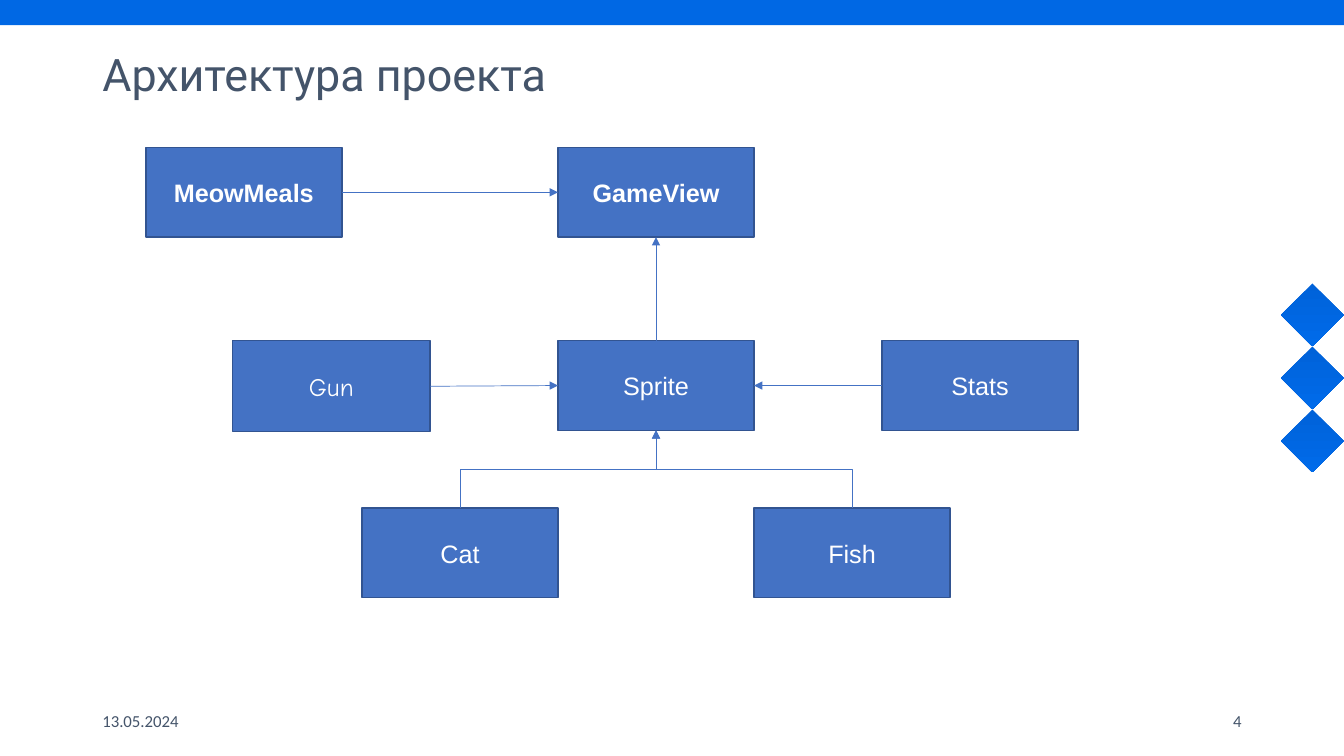
from pptx import Presentation
from pptx.dml.color import RGBColor
from pptx.enum import shapes, text
from pptx.oxml import parse_xml
from pptx.oxml.ns import nsdecls
from pptx.util import Pt

BAR = RGBColor(0x00, 0x68, 0xE4)
DARK = RGBColor(0x00, 0x62, 0xD9)
LIGHT = RGBColor(0x00, 0x6B, 0xEA)
SLATE = RGBColor(0x44, 0x54, 0x6A)
BLUE = RGBColor(0x44, 0x72, 0xC4)
EDGE = RGBColor(0x32, 0x54, 0x91)
WHITE = RGBColor(0xFF, 0xFF, 0xFF)
KIND = shapes.MSO_SHAPE
LINK = shapes.MSO_CONNECTOR
ALIGN = text.PP_ALIGN
TOP, LEFT, BOTTOM, RIGHT = range(4)


def place(slide, kind, box):
    shape = slide.shapes.add_shape(kind, *map(Pt, box))
    shape.shadow.inherit = False
    return shape


def write(shape, words, size, font, color, align, bold=False):
    frame = shape.text_frame
    frame.word_wrap = True
    frame.vertical_anchor = text.MSO_ANCHOR.MIDDLE
    para = frame.paragraphs[0]
    para.alignment = align
    run = para.add_run()
    run.text = words
    run.font.size = Pt(size)
    run.font.name = font
    run.font.bold = bold
    run.font.color.rgb = color
    return para


def label(slide, box, words, size, font, align=ALIGN.LEFT):
    shape = slide.shapes.add_textbox(*map(Pt, box))
    return write(shape, words, size, font, SLATE, align)


def banner(slide, box):
    bar = place(slide, KIND.RECTANGLE, box)
    bar.fill.solid()
    bar.fill.fore_color.rgb = BAR
    bar.line.fill.background()


def gems(slide, box):
    x, y, w, h = box
    side = h / 3
    for i in range(3):
        gem = place(slide, KIND.DIAMOND, (x, y + i * side, w, side))
        gem.fill.gradient()
        gem.fill.gradient_angle = 270
        for stop, color in zip(gem.fill.gradient_stops, (DARK, LIGHT)):
            stop.color.rgb = color
        gem.line.fill.background()


def footer(slide, box):
    x, y, w, h = box
    part = 216
    label(slide, (x, y, part, h), "13.05.2024", 12, "Calibri")
    label(slide, (x + w - part, y, part, h), "4", 12, "Calibri", ALIGN.RIGHT)


def node(slide, box, name, font="Arial", bold=False):
    shape = place(slide, KIND.FLOWCHART_PROCESS, box)
    shape.fill.solid()
    shape.fill.fore_color.rgb = BLUE
    shape.line.color.rgb = EDGE
    shape.line.width = Pt(1)
    write(shape, name, 18, font, WHITE, ALIGN.CENTER, bold)
    return shape


def arrow(slide, start, out, end, into, kind=LINK.STRAIGHT):
    line = slide.shapes.add_connector(kind, 0, 0, 0, 0)
    line.begin_connect(start, out)
    line.end_connect(end, into)
    line.line.color.rgb = BLUE
    line.line.width = Pt(0.5)
    line.line._get_or_add_ln().append(
        parse_xml(f'<a:tailEnd {nsdecls("a")} type="triangle"/>'))
    line._element.spPr.append(parse_xml(f'<a:effectLst {nsdecls("a")}/>'))
    return line


def elbow(slide, start, end):
    line = arrow(slide, start, TOP, end, BOTTOM, LINK.ELBOW)
    x1, y1, x2, y2 = line.begin_x, line.begin_y, line.end_x, line.end_y
    wide, high = abs(y2 - y1), abs(x2 - x1)
    line.left, line.top = (x1 + x2 - wide) // 2, (y1 + y2 - high) // 2
    line.width, line.height = wide, high
    right = x2 > x1
    form = line._element.spPr.find("{*}xfrm")
    form.set("rot", "5400000" if right else "16200000")
    form.set("flipH", "1" if right else "0")
    form.set("flipV", "1")


def diagram(slide, box):
    x, y, w, h = box
    wide, high = 140, 64
    mid, row, low = x + 294.4, y + 138, y + h - high
    gun = node(slide, (x + 62, row, 141, 65), "Gun", "Comic Neue")
    cat = node(slide, (mid - wide, low, wide, high), "Cat")
    meow = node(slide, (x, y, wide, high), "MeowMeals", bold=True)
    stats = node(slide, (x + w - wide, row, wide, high), "Stats")
    sprite = node(slide, (mid, row, wide, high), "Sprite")
    view = node(slide, (mid, y, wide, high), "GameView", bold=True)
    fish = node(slide, (mid + wide, low, wide, high), "Fish")
    arrow(slide, meow, RIGHT, view, LEFT)
    arrow(slide, sprite, TOP, view, BOTTOM)
    arrow(slide, gun, RIGHT, sprite, LEFT)
    arrow(slide, stats, LEFT, sprite, RIGHT)
    for kid in (cat, fish):
        elbow(slide, kid, sprite)


def main():
    deck = Presentation()
    deck.slide_width, deck.slide_height = Pt(960), Pt(540)
    slide = deck.slides.add_slide(deck.slide_layouts[6])
    gems(slide, (915, 202.5, 45, 135))
    banner(slide, (0, 0, 960, 18))
    footer(slide, (66, 500.5, 828, 28.8))
    title = label(slide, (66, 28.8, 728.6, 54.7),
                  "Архитектура проекта", 32, "Roboto")
    title.line_spacing = 0.8
    diagram(slide, (104.2, 105.4, 665.8, 321.6))
    deck.save("out.pptx")


if __name__ == "__main__":
    main()
